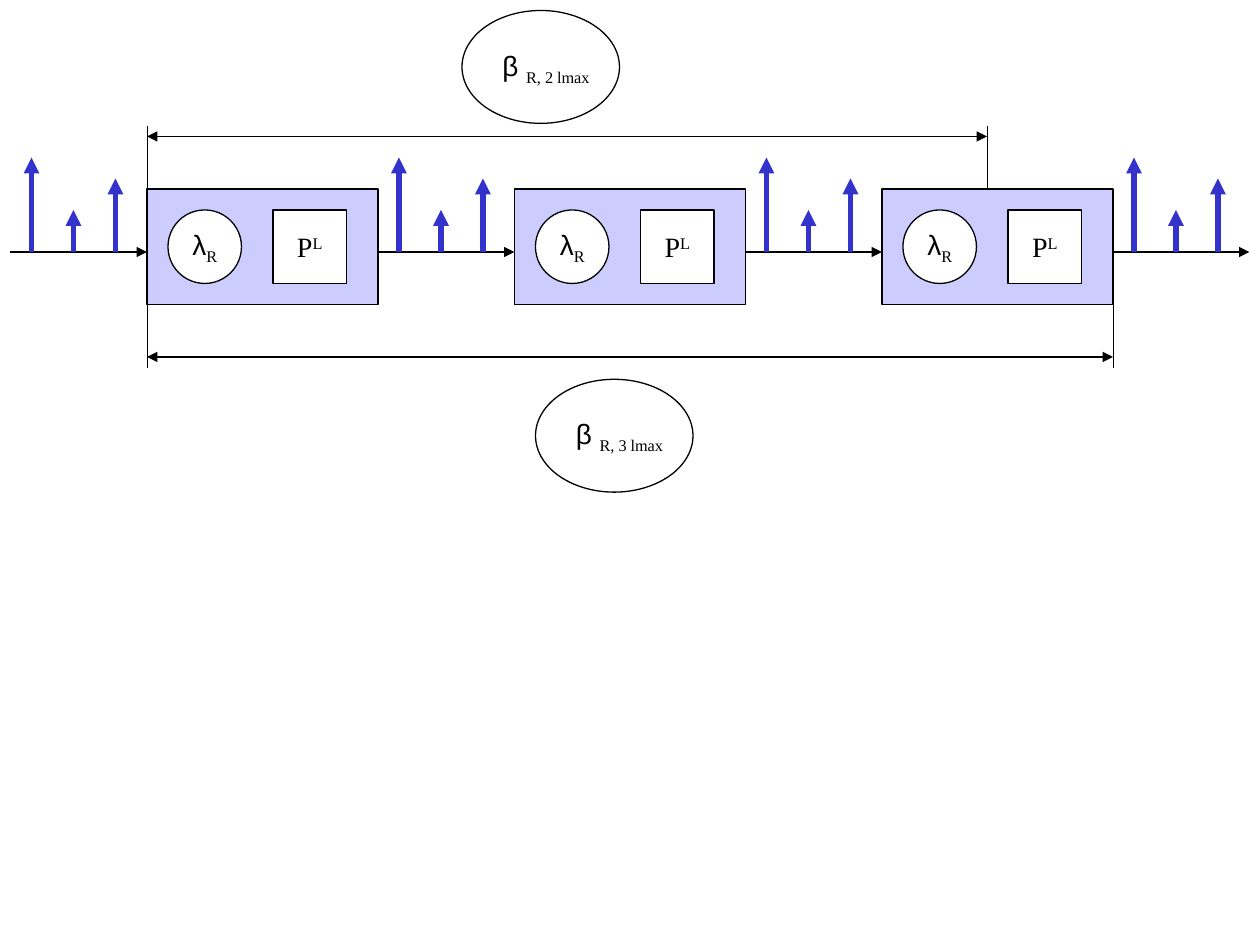
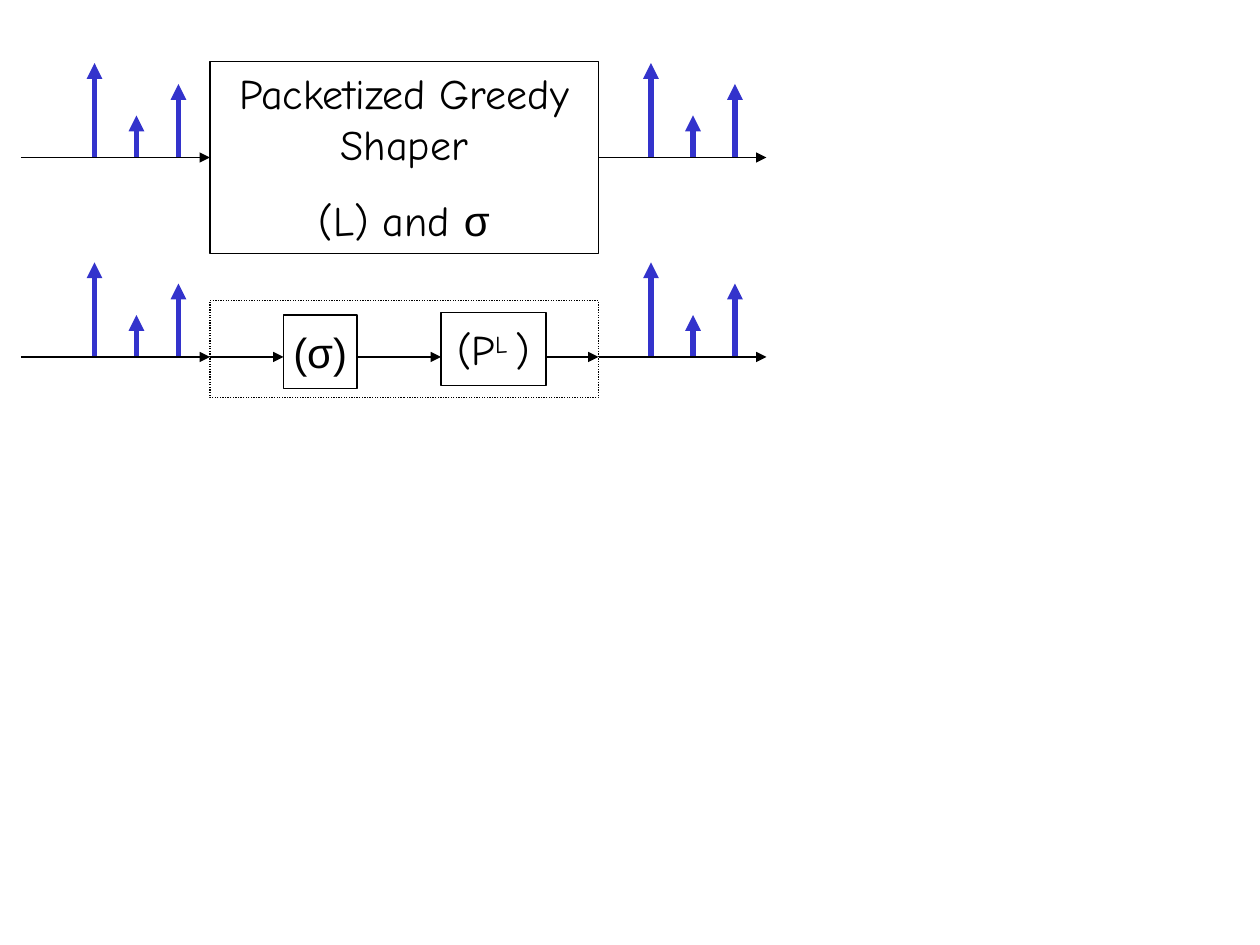
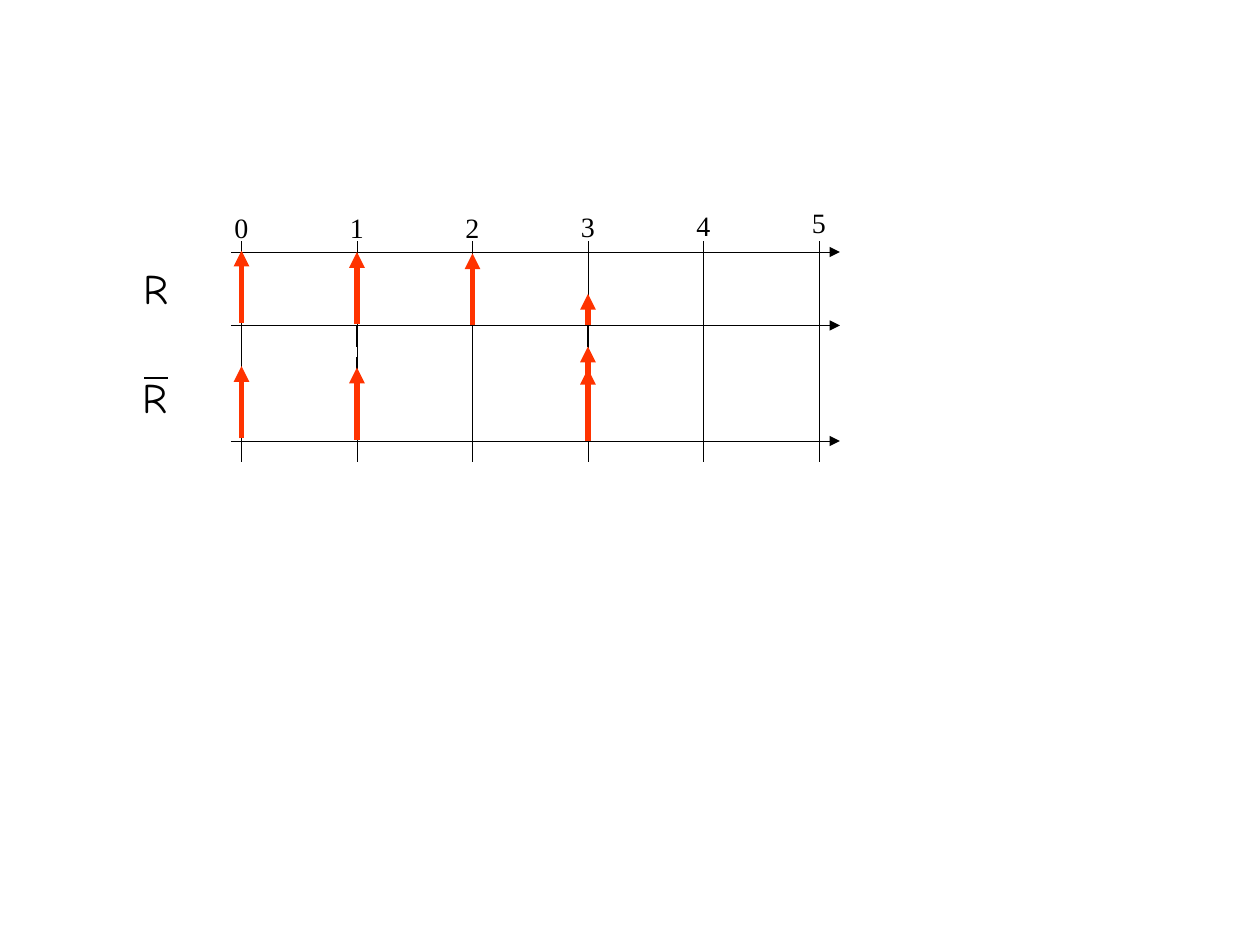
"""Build three diagrams of packetized greedy shapers and packet arrivals."""
import lxml.etree
import pptx
import pptx.dml.color
import pptx.enum.dml
import pptx.enum.shapes
import pptx.enum.text
import pptx.oxml.ns
import pptx.util

PX = 9525
SLIDE = (960, 720)
COLORS = {"ink": "000000", "paper": "FFFFFF", "block": "CCCCFF",
          "packet": "3333CC", "arrival": "FF3300"}
SERIF, SANS, HAND = "Times New Roman", "Arial", "Comic Neue"
RECT = pptx.enum.shapes.MSO_SHAPE.RECTANGLE
OVAL = pptx.enum.shapes.MSO_SHAPE.OVAL
MIDDLE = pptx.enum.text.MSO_ANCHOR.MIDDLE
TOP = pptx.enum.text.MSO_ANCHOR.TOP
THIN, NORMAL, THICK = 0.25, 0.75, 3

RATE = [[("λ", 16, SANS, 0), ("R", 16, SERIF, -25)]]
PACKETIZER = [[("P", 16, SERIF, 0), ("L", 16, SERIF, 30)]]
SHAPER = [[("Packetized Greedy Shaper", 24, HAND, 0)],
          [("(L) and ", 24, HAND, 0), ("σ", 24, SANS, 0)]]
SIGMA = [[("(σ)", 24, SANS, 0)]]
P_L = [[("(P", 24, HAND, 0), ("L ", 24, HAND, 30), (")", 24, HAND, 0)]]

PACKETS = [(0, 72), (32, 32), (64, 56)]
BLOCKS, BLOCK_LEFT, BLOCK_PITCH, AXIS = 3, 112, 280, 192
SPANS = [
    {"label": "R, 3 lmax", "ends": (112, 848), "guides": (232, 280),
     "y": 272, "oval": (408, 289), "text": (424, 313)},
    {"label": "R, 2 lmax", "ends": (112, 752), "guides": (96, 144),
     "y": 104, "oval": (352, 8), "text": (368, 32)},
]

SHAPER_ROWS = (120, 272)
INNER_LINKS = [(160, 216), (272, 336), (416, 456)]

TIME_LEFT, TIME_PITCH = 184, 88
DIGIT_TOPS = [156, 156, 156, 155, 154, 152]
TIMELINES = (192, 248, 336)
TICKS = [(1, 248), (3, 248), (4, 248), (1, 272), (3, 272)]
SIGNAL_NAMES = [(100, 195), (99, 278)]
ARRIVALS = [(2, 248, 55), (3, 248, 24), (1, 247, 55), (0, 246, 55),
            (3, 336, 55), (3, 288, 24), (1, 335, 55), (0, 334, 55)]


def rgb(name):
    return pptx.dml.color.RGBColor.from_string(COLORS[name])


def px(*values):
    return [round(v * PX) for v in values]


def write(sp, paragraphs, anchor=MIDDLE, wrap=False):
    tf = sp.text_frame
    tf.word_wrap = wrap
    tf.vertical_anchor = anchor
    for i, runs in enumerate(paragraphs):
        p = tf.add_paragraph() if i else tf.paragraphs[0]
        p.alignment = pptx.enum.text.PP_ALIGN.CENTER
        if i:
            p.space_before = pptx.util.Pt(15)
        for text, size, font, baseline in runs:
            r = p.add_run()
            r.text = text
            r.font.size = pptx.util.Pt(size)
            r.font.name = font
            r.font.color.rgb = rgb("ink")
            if baseline:
                r._r.get_or_add_rPr().set("baseline", str(baseline * 1000))


def style_line(line, color, width, dotted):
    line.color.rgb = rgb(color)
    line.width = pptx.util.Pt(width)
    if dotted:
        line.dash_style = pptx.enum.dml.MSO_LINE.ROUND_DOT


def shape(s, kind, box, fill=None, line="ink", dotted=False):
    sp = s.shapes.add_shape(kind, *px(*box))
    sp.shadow.inherit = False
    if fill:
        sp.fill.solid()
        sp.fill.fore_color.rgb = rgb(fill)
    else:
        sp.fill.background()
    style_line(sp.line, line, NORMAL, dotted)
    return sp


def line(s, start, end, color="ink", width=NORMAL, ends=(), dotted=False):
    straight = pptx.enum.shapes.MSO_CONNECTOR.STRAIGHT
    c = s.shapes.add_connector(straight, *px(*start, *end))
    style_line(c.line, color, width, dotted)
    qn = pptx.oxml.ns.qn
    for end_name in ends:
        lxml.etree.SubElement(c.line._get_or_add_ln(), qn(f"a:{end_name}"), type="triangle")
    lxml.etree.SubElement(c._element.spPr, qn("a:effectLst"))
    return c


def arrow(s, start, end, color="ink", width=NORMAL):
    return line(s, start, end, color, width, ("tailEnd",))


def packets(s, left, y):
    for dx, height in PACKETS:
        arrow(s, (left + dx, y), (left + dx, y - height), "packet", THICK)


def chain_slide(s):
    for i in range(BLOCKS + 1):
        x = BLOCK_LEFT + i * BLOCK_PITCH
        if i < BLOCKS:
            shape(s, RECT, (x, 144, 176, 88), "block")
            write(shape(s, OVAL, (x + 16, 160, 56, 56), "paper"), RATE)
            write(shape(s, RECT, (x + 96, 160, 56, 56), "paper"), PACKETIZER)
        arrow(s, (x - 104, AXIS), (x, AXIS))
        packets(s, x - 88, AXIS)
    for span in SPANS:
        left, right = span["ends"]
        top, bottom = span["guides"]
        for x in (left, right):
            line(s, (x, top), (x, bottom), width=THIN, dotted=True)
        line(s, (left, span["y"]), (right, span["y"]), ends=("headEnd", "tailEnd"))
        tb = s.shapes.add_textbox(*px(*span["text"], 96, 39))
        write(tb, [[("β ", 16, SANS, 0), (span["label"], 16, SERIF, -25)]], TOP, True)
        shape(s, OVAL, (*span["oval"], 120, 86))


def shaper_slide(s):
    shaper = shape(s, RECT, (160, 47, 296, 146))
    write(shaper, SHAPER, TOP, True)
    write(shape(s, RECT, (336, 238, 80, 56), "paper"), P_L)
    write(shape(s, RECT, (216, 240, 56, 56), "paper"), SIGMA)
    for y in SHAPER_ROWS:
        packets(s, 72, y)
        inlet = arrow(s, (16, y), (160, y))
        packets(s, 496, y)
        outlet = arrow(s, (456, y), (584, y))
        if y == SHAPER_ROWS[0]:
            inlet.end_connect(shaper, 1)
            outlet.begin_connect(shaper, 3)
    shape(s, RECT, (160, 229, 296, 74), dotted=True)
    for left, right in INNER_LINKS:
        arrow(s, (left, SHAPER_ROWS[1]), (right, SHAPER_ROWS[1]))


def timeline_slide(s):
    times = [TIME_LEFT + i * TIME_PITCH for i in range(len(DIGIT_TOPS))]
    for i, (x, top) in enumerate(zip(times, DIGIT_TOPS)):
        sp = shape(s, RECT, (x - 15, top, 30, 36), line="paper")
        write(sp, [[(str(i), 16, SERIF, 0)]], TOP)
    for i, y in TICKS:
        line(s, (times[i], y), (times[i], y + 16))
    for x in times:
        line(s, (x, 184), (x, 352), width=THIN)
    for y in TIMELINES:
        arrow(s, (176, y), (640, y), width=THIN)
    for x, y in SIGNAL_NAMES:
        sp = shape(s, RECT, (x, y, 38, 48), line="paper")
        write(sp, [[("R", 24, HAND, 0)]], TOP)
    line(s, (110, 288), (128, 288))
    for i, y, height in ARRIVALS:
        arrow(s, (times[i], y), (times[i], y - height), "arrival", THICK)


def main():
    prs = pptx.Presentation()
    prs.slide_width, prs.slide_height = px(*SLIDE)
    for build in (chain_slide, shaper_slide, timeline_slide):
        build(prs.slides.add_slide(prs.slide_layouts[6]))
    prs.save("out.pptx")


if __name__ == "__main__":
    main()
